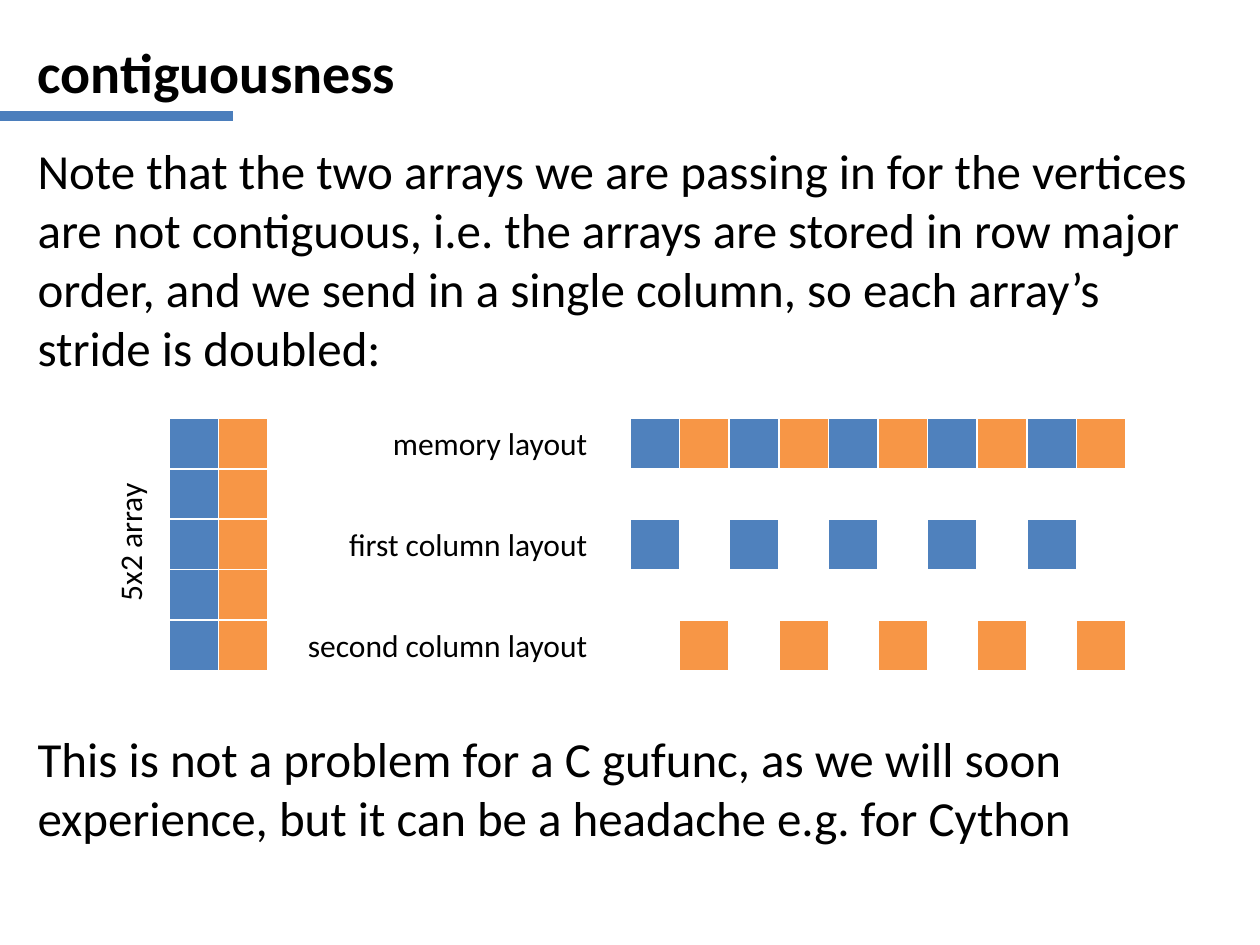
from dataclasses import dataclass

from lxml.etree import SubElement
from pptx import Presentation
from pptx.dml.color import RGBColor
from pptx.enum.shapes import MSO_CONNECTOR
from pptx.enum.text import MSO_ANCHOR, PP_ALIGN
from pptx.oxml.ns import qn
from pptx.util import Inches, Pt


@dataclass(frozen=True)
class Theme:
    font: str = "Calibri"
    text: str = "000000"
    background: str = "FFFFFF"
    accent: str = "4B7EBC"
    first: str = "4F81BD"
    second: str = "F79646"
    title_size: int = 32
    body_size: int = 28
    label_size: int = 18
    body_leading: float = 33.6


THEME = Theme()
MARGIN, CONTENT_WIDTH = 0.2, 9.61
CELL_WIDTH, CELL_HEIGHT = 0.394, 0.4
DIAGRAM_TOP, LAYOUT_STEP = 3.32, 0.8
ARRAY_LEFT, LAYOUT_LEFT = 1.34, 5
LABEL_LEFT, LABEL_WIDTH = 2.21, 2.55
ARRAY_ROWS = 5
BODY_TOP = 1.07
CLOSING_TOP = BODY_TOP + 10 * THEME.body_leading / 72


def add_text(slide, text, box, size, bold=False, align=PP_ALIGN.LEFT,
             anchor=MSO_ANCHOR.TOP, leading=None, upward=False):
    shape = slide.shapes.add_textbox(*map(Inches, box))
    frame = shape.text_frame
    frame.word_wrap = True
    frame.vertical_anchor = anchor
    if upward:
        frame._txBody.bodyPr.set("vert", "vert270")
    paragraph = frame.paragraphs[0]
    paragraph.alignment = align
    if leading:
        paragraph.line_spacing = Pt(leading)
    run = paragraph.add_run()
    run.text = text
    run.font.name = THEME.font
    run.font.size = Pt(size)
    run.font.bold = bold
    run.font.color.rgb = RGBColor.from_string(THEME.text)


def add_body(slide, text, top, height):
    add_text(slide, text, (MARGIN, top, CONTENT_WIDTH, height),
             THEME.body_size, leading=THEME.body_leading)


def add_title_rule(slide):
    rule = slide.shapes.add_connector(
        MSO_CONNECTOR.STRAIGHT, 0, Inches(0.92), Inches(1.85), Inches(0.92))
    rule.line.color.rgb = RGBColor.from_string(THEME.accent)
    rule.line.width = Pt(6)
    SubElement(rule._element.spPr, qn("a:effectLst"))


def style_cell(cell, color):
    properties = cell._tc.get_or_add_tcPr()
    for side in ("lnL", "lnR", "lnT", "lnB"):
        border = SubElement(properties, qn(f"a:{side}"), w=str(Pt(1)))
        fill = SubElement(border, qn("a:solidFill"))
        SubElement(fill, qn("a:srgbClr"), val=THEME.background)
    cell.fill.solid()
    cell.fill.fore_color.rgb = RGBColor.from_string(color)


def add_color_grid(slide, left, top, rows):
    """Draw a table whose cells hold only the given colours."""
    column_count = len(rows[0])
    table = slide.shapes.add_table(
        len(rows), column_count, Inches(left), Inches(top),
        Inches(column_count * CELL_WIDTH), Inches(len(rows) * CELL_HEIGHT)).table
    for row, colors in enumerate(rows):
        for column, color in enumerate(colors):
            style_cell(table.cell(row, column), color)


def add_layout(slide, index, label, pair):
    """Draw one labelled memory strip that repeats a pair of colours."""
    top = DIAGRAM_TOP + index * LAYOUT_STEP
    add_color_grid(slide, LAYOUT_LEFT, top, [pair * ARRAY_ROWS])
    add_text(slide, label, (LABEL_LEFT, top, LABEL_WIDTH, CELL_HEIGHT),
             THEME.label_size, align=PP_ALIGN.RIGHT)


def main():
    presentation = Presentation()
    presentation.slide_width = Inches(10)
    presentation.slide_height = Inches(7.5)
    slide = presentation.slides.add_slide(presentation.slide_layouts[6])

    add_title_rule(slide)
    add_text(slide, "contiguousness", (MARGIN, 0.21, CONTENT_WIDTH, 0.71),
             THEME.title_size, bold=True, anchor=MSO_ANCHOR.MIDDLE)
    add_body(slide, "Note that the two arrays we are passing in for the vertices "
             "are not contiguous, i.e. the arrays are stored in row major order, "
             "and we send in a single column, so each array’s stride is doubled:",
             BODY_TOP, 2)
    add_body(slide, "This is not a problem for a C gufunc, as we will soon "
             "experience, but it can be a headache e.g. for Cython",
             CLOSING_TOP, 1.1)

    both = [THEME.first, THEME.second]
    add_color_grid(slide, ARRAY_LEFT, DIAGRAM_TOP, [both] * ARRAY_ROWS)
    add_text(slide, "5x2 array", (0.83, DIAGRAM_TOP, 0.5, 1.97),
             THEME.label_size, align=PP_ALIGN.CENTER, upward=True)
    layouts = (
        ("memory layout", both),
        ("first column layout", [THEME.first, THEME.background]),
        ("second column layout", [THEME.background, THEME.second]),
    )
    for index, (label, pair) in enumerate(layouts):
        add_layout(slide, index, label, pair)

    presentation.save("out.pptx")


if __name__ == "__main__":
    main()
